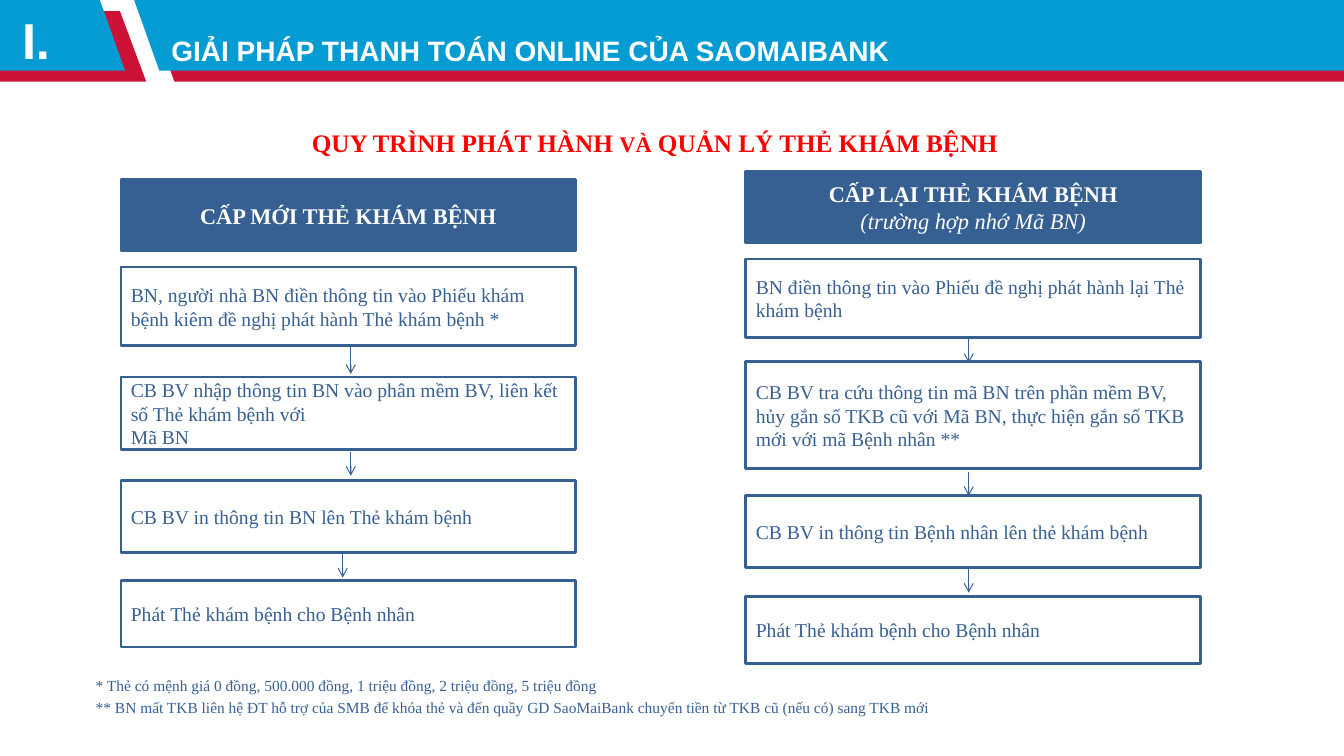
import lxml.etree
import pptx
import pptx.util
import pptx.dml.color
import pptx.enum.shapes
import pptx.enum.text
import pptx.oxml.ns

HUES = {"navy": "376092", "blue": "059CD4", "crimson": "CD1237",
        "red": "FF0000", "white": "FFFFFF"}
SERIF, SANS = "Times New Roman", "Arial"
ALIGN = pptx.enum.text.PP_ALIGN
ANCHOR = pptx.enum.text.MSO_ANCHOR
Pt = pptx.util.Pt
qn = pptx.oxml.ns.qn
WIDE = 33.83
LAST = ["Phát Thẻ khám bệnh cho Bệnh nhân"]


class Deck:
    def __init__(self):
        self.show = pptx.Presentation()
        self.show.slide_width = pptx.util.Inches(13.33)
        self.show.slide_height = pptx.util.Inches(7.5)
        self.slide = self.show.slides.add_slide(self.show.slide_layouts[5])
        self.shapes = self.slide.shapes

    def x(self, share):
        return round(self.show.slide_width * share / 100)

    def y(self, share):
        return round(self.show.slide_height * share / 100)

    def area(self, left, top, width, height):
        return self.x(left), self.y(top), self.x(width), self.y(height)

    def hue(self, name):
        return pptx.dml.color.RGBColor.from_string(HUES[name])

    def paint(self, shape, fill, line=None):
        shape.shadow.inherit = False
        if fill:
            shape.fill.solid()
            shape.fill.fore_color.rgb = self.hue(fill)
        else:
            shape.fill.background()
        if line:
            shape.line.color.rgb = self.hue(line)
            shape.line.width = Pt(2)
        else:
            shape.line.fill.background()

    def font(self, font, size, hue, face=SERIF, bold=False, italic=False):
        font.name, font.size = face, Pt(size)
        font.bold, font.italic = bold, italic
        font.color.rgb = self.hue(hue)

    def label(self, shape, lines, size, hue, face=SERIF, bold=False,
              align=ALIGN.LEFT, anchor=ANCHOR.TOP, gap=0):
        frame = shape.text_frame
        frame.word_wrap = True
        frame.auto_size = pptx.enum.text.MSO_AUTO_SIZE.NONE
        frame.vertical_anchor = anchor
        frame.text = "\n".join(lines)
        for rank, para in enumerate(frame.paragraphs):
            para.alignment = align
            if rank and gap:
                para.space_before = Pt(gap)
            self.font(para.font, size, hue, face, bold)
        return frame

    def band(self, hue, points):
        spots = [(self.x(x), self.y(y)) for x, y in points]
        pen = self.shapes.build_freeform(*spots[0])
        pen.add_line_segments(spots[1:], close=True)
        self.paint(pen.convert_to_shape(), hue)

    def title(self, text, *area):
        shape = self.shapes.title
        shape.left, shape.top, shape.width, shape.height = self.area(*area)
        frame = self.label(shape, [text], 20, "white", SANS, True,
                           anchor=ANCHOR.MIDDLE)
        para = frame.paragraphs[0]
        para.line_spacing, para.space_after = 1.5, Pt(6)
        shape.element.getparent().append(shape.element)

    def text(self, lines, area, size, hue, **style):
        shape = self.shapes.add_textbox(*self.area(*area))
        return self.label(shape, lines, size, hue, **style)

    def box(self, lines, area, head=False):
        kind = pptx.enum.shapes.MSO_SHAPE.RECTANGLE
        shape = self.shapes.add_shape(kind, *self.area(*area))
        self.paint(shape, "navy" if head else None, "navy")
        return self.label(shape, lines, 16 if head else 14,
                          "white" if head else "navy", bold=head,
                          align=ALIGN.CENTER if head else ALIGN.LEFT,
                          anchor=ANCHOR.MIDDLE)

    def arrow(self, x, start, end):
        kind = pptx.enum.shapes.MSO_CONNECTOR.STRAIGHT
        link = self.shapes.add_connector(kind, self.x(x), self.y(start),
                                         self.x(x), self.y(end))
        link.line.color.rgb = self.hue("navy")
        link.line.width = Pt(0.75)
        props = link.element.spPr
        lxml.etree.SubElement(props.find(qn("a:ln")), qn("a:tailEnd"), type="arrow")
        lxml.etree.SubElement(props, qn("a:effectLst"))

    def flow(self, left, head, steps, arrows):
        title, top, height = head
        frame = self.box(title, (left, top, WIDE, height), True)
        for note in frame.paragraphs[1:]:
            self.font(note.font, 16, "white", italic=True)
        for lines, top, height in steps:
            self.box(lines, (left, top, WIDE, height))
        for arrow in arrows:
            self.arrow(*arrow)


def main():
    deck = Deck()
    deck.band("crimson", [(0, 1.47), (8.93, 1.47), (10.88, 10.8), (0, 10.8)])
    deck.band("crimson", [(11.1, 1.47), (100, 1.47), (100, 10.8), (12.98, 10.8)])
    deck.band("blue", [(9.98, 0), (100, 0), (100, 9.33), (11.85, 9.33)])
    deck.band("blue", [(0, 0), (7.43, 0), (9.3, 9.33), (0, 9.33)])
    deck.title("GIẢI PHÁP THANH TOÁN ONLINE CỦA SAOMAIBANK", 12, 1.07, 88, 8.93)
    deck.text(["I."], (0.9, 0.53, 7.5, 10.13), 36, "white", face=SANS, bold=True)

    frame = deck.text([""], (2.85, 15.33, 88.88, 6.27), 18, "red",
                      bold=True, align=ALIGN.CENTER)
    frame.margin_left = deck.x(3.6)
    para = frame.paragraphs[0]
    para.line_spacing, para.space_after = 1.2, Pt(6)
    for words, size in [("QUY TRÌNH PHÁT HÀNH ", 18), ("VÀ", 16),
                        (" QUẢN LÝ THẺ KHÁM BỆNH", 18)]:
        run = para.add_run()
        run.text = words
        run.font.size = Pt(size)

    deck.flow(9, (["CẤP MỚI THẺ KHÁM BỆNH"], 23.73, 9.47), [
        (["BN, người nhà BN điền thông tin vào Phiếu khám bệnh kiêm đề nghị "
          "phát hành Thẻ khám bệnh *"], 35.33, 10.4),
        (["CB BV nhập thông tin BN vào phân mềm BV, liên kết số Thẻ khám bệnh với",
          "Mã BN"], 49.87, 9.6),
        (["CB BV in thông tin BN lên Thẻ khám bệnh"], 63.6, 9.47),
        (LAST, 76.8, 8.8),
    ], [(26.1, 45.73, 49.47), (26.1, 59.73, 62.93), (25.5, 73.07, 76.4)])

    deck.flow(55.5, (["CẤP LẠI THẺ KHÁM BỆNH", "(trường hợp nhớ Mã BN)"],
                     22.67, 9.47), [
        (["BN điền thông tin vào Phiếu đề nghị phát hành lại Thẻ khám bệnh"],
         34.27, 10.4),
        (["CB BV tra cứu thông tin mã BN trên phần mềm BV, hủy gắn số TKB cũ "
          "với Mã BN, thực hiện gắn số TKB mới với mã Bệnh nhân **"], 47.87, 14.13),
        (["CB BV in thông tin Bệnh nhân lên thẻ khám bệnh"], 65.6, 9.47),
        (LAST, 78.93, 8.8),
    ], [(72.08, 44.67, 48), (72.08, 62.4, 65.6), (72.08, 75.07, 78.4)])

    deck.text(["* Thẻ có mệnh giá 0 đồng, 500.000 đồng, 1 triệu đồng, "
               "2 triệu đồng, 5 triệu đồng",
               "** BN mất TKB liên hệ ĐT hỗ trợ của SMB để khóa thẻ và đến quầy "
               "GD SaoMaiBank chuyển tiền từ TKB cũ (nếu có) sang TKB mới"],
              (6.38, 88.8, 86.18, 9.6), 11, "navy", gap=2.2)
    deck.show.save("out.pptx")


if __name__ == "__main__":
    main()
